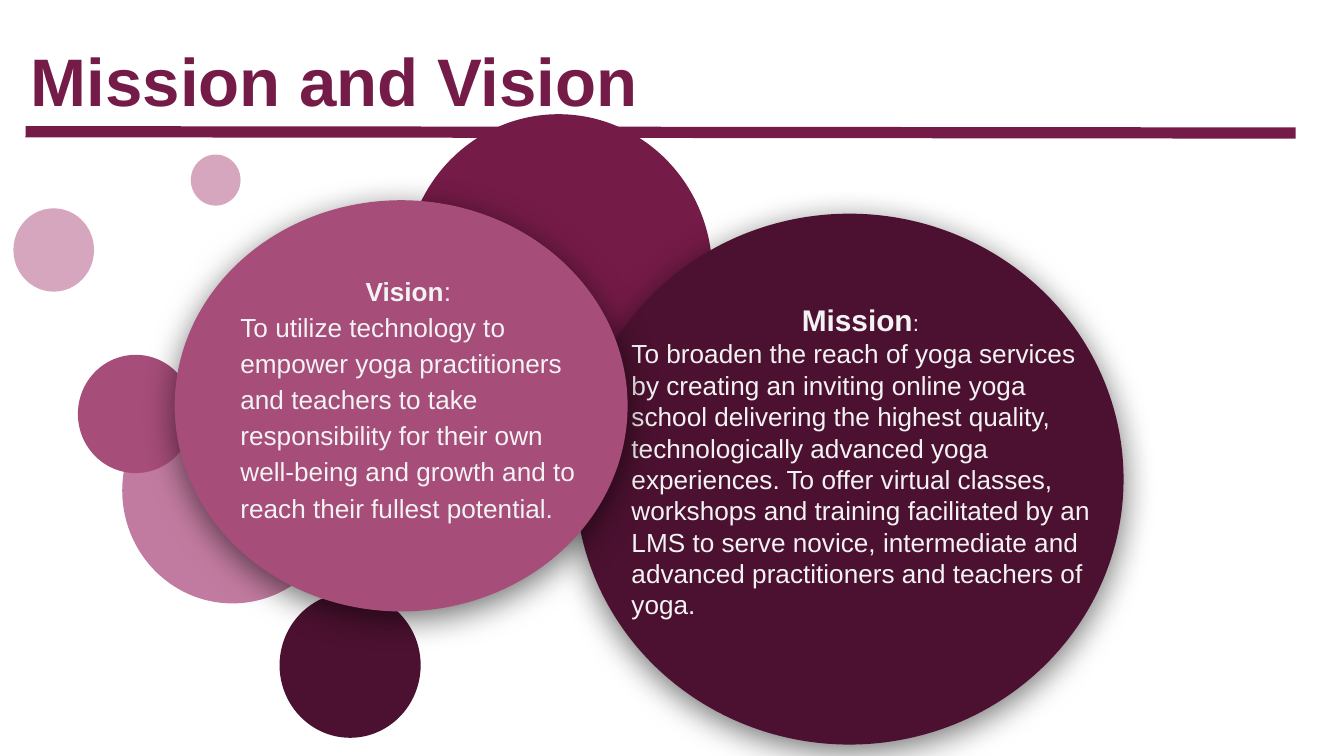
from lxml import etree
from pptx import Presentation
from pptx.dml.color import RGBColor
from pptx.enum.shapes import MSO_CONNECTOR, MSO_SHAPE
from pptx.enum.text import MSO_ANCHOR, PP_ALIGN
from pptx.oxml.ns import qn
from pptx.util import Inches, Pt

FONT = "Arial"
PLUM, DARK_PLUM, ROSE = "741B47", "4C1130", "A64D79"
MAUVE, PINK, OFF_WHITE = "C27BA0", "D5A6BD", "F3F3F3"

# left, top, width, height, colour
BUBBLES = [
    (2.08, 4.41, 1.05, 1.08, DARK_PLUM),
    (0.1, 1.55, 0.6, 0.62, PINK),
    (0.91, 2.81, 1.64, 1.68, MAUVE),
    (3.01, 0.85, 2.29, 2.36, PLUM),
    (0.58, 2.64, 0.86, 0.88, ROSE),
    (1.42, 1.15, 0.37, 0.38, PINK),
]
MISSION = (
    "To broaden the reach of yoga services by creating an inviting online yoga "
    "school delivering the highest quality, technologically advanced yoga "
    "experiences. To offer virtual classes, workshops and training facilitated "
    "by an LMS to serve novice, intermediate and advanced practitioners and "
    "teachers of yoga."
)
VISION = (
    "To utilize technology to empower yoga practitioners and teachers to take "
    "responsibility for their own well-being and growth and to reach their "
    "fullest potential."
)


def rgb(value):
    return RGBColor.from_string(value)


def inches(*lengths):
    return [Inches(length) for length in lengths]


def style_run(run, size, color, bold=False):
    run.font.name = FONT
    run.font.size = Pt(size)
    run.font.bold = bold
    run.font.color.rgb = rgb(color)


def set_frame(frame, anchor):
    frame.word_wrap = True
    frame.vertical_anchor = anchor
    frame.margin_left = frame.margin_right = Inches(0.1)
    frame.margin_top = frame.margin_bottom = Inches(0.1)


def add_title(slide, text):
    title = slide.shapes.title
    title.left, title.top, title.width, title.height = inches(0.13, 0.19, 9.32, 0.63)
    set_frame(title.text_frame, MSO_ANCHOR.TOP)
    title.text_frame.text = text
    paragraph = title.text_frame.paragraphs[0]
    paragraph.alignment = PP_ALIGN.LEFT
    paragraph.line_spacing = 1.0
    style_run(paragraph.runs[0], 36, PLUM, bold=True)


def add_rule(slide):
    rule = slide.shapes.add_connector(
        MSO_CONNECTOR.STRAIGHT, *inches(0.19, 0.98, 9.64, 0.99))
    rule.line.color.rgb = rgb(PLUM)
    rule.line.width = Pt(6)
    etree.SubElement(rule._element.spPr, qn("a:effectLst"))


def add_circle(slide, box, color):
    circle = slide.shapes.add_shape(MSO_SHAPE.OVAL, *inches(*box))
    circle.fill.solid()
    circle.fill.fore_color.rgb = rgb(color)
    circle.line.fill.background()
    circle.shadow.inherit = False
    return circle


def add_soft_shadow(shape):
    effects = shape._element.spPr.find(qn("a:effectLst"))
    shadow = etree.SubElement(
        effects, qn("a:outerShdw"), blurRad=str(Pt(18)), dist=str(Pt(4)),
        dir="5400000", algn="bl", rotWithShape="0")
    color = etree.SubElement(shadow, qn("a:srgbClr"), val="000000")
    etree.SubElement(color, qn("a:alpha"), val="55000")


def add_statement(slide, box, heading, body, heading_size, colon_size, spacing):
    frame = slide.shapes.add_textbox(*inches(*box)).text_frame
    set_frame(frame, MSO_ANCHOR.MIDDLE)
    first, second = frame.paragraphs[0], frame.add_paragraph()
    first.alignment, second.alignment = PP_ALIGN.CENTER, PP_ALIGN.LEFT
    first.line_spacing = second.line_spacing = spacing
    for paragraph, text, size, bold in (
        (first, heading, heading_size, True),
        (first, ": ", colon_size, False),
        (second, body, 14, False),
    ):
        run = paragraph.add_run()
        run.text = text
        style_run(run, size, OFF_WHITE, bold)


def main():
    presentation = Presentation()
    presentation.slide_width = Inches(10)
    presentation.slide_height = Inches(10 * 9 / 16)
    slide = presentation.slides.add_slide(presentation.slide_layouts[5])

    add_title(slide, "Mission and Vision")
    add_rule(slide)
    for *box, color in BUBBLES:
        add_circle(slide, box, color)

    add_soft_shadow(add_circle(slide, (4.28, 1.59, 4.08, 3.95), DARK_PLUM))
    add_statement(slide, (4.6, 2.14, 3.65, 2.58), "Mission", MISSION, 16, 12, 1.0)
    add_soft_shadow(add_circle(slide, (1.3, 1.49, 3.37, 3.06), ROSE))
    add_statement(slide, (1.69, 1.59, 2.75, 2.73), "Vision", VISION, 14, 14, 1.15)

    presentation.save("out.pptx")


if __name__ == "__main__":
    main()
